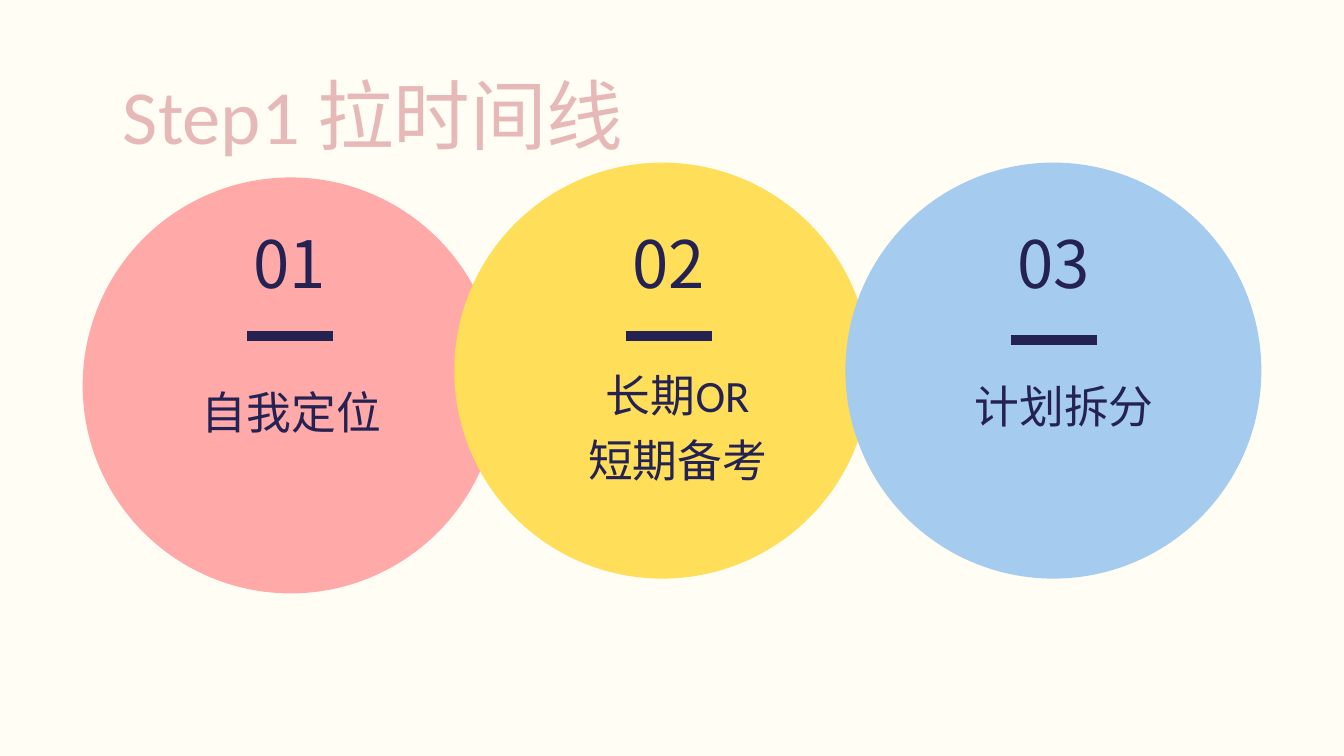
from lxml import etree
from pptx import Presentation
from pptx import util as u
from pptx.dml.color import RGBColor
from pptx.enum import shapes, text
from pptx.oxml import ns

HUES = {
    "paper": "FFFDF4",
    "pink": "FFA9A8",
    "gold": "FFDE59",
    "blue": "A5CBEF",
    "navy": "232253",
    "rose": "E6B9B8",
}
HAN = "Noto Sans CJK SC"
SIZE = 6.19
DASH = 1.28

STEPS = [
    ("pink", (1.23, 2.64), (3.68, 5), "01", 1.88, ["自我定位"], (2.58, 6.04, 0.49)),
    ("gold", (6.76, 2.42), (9.31, 5), "02", 7.52, ["长期OR", "短期备考"], (8.33, 5.79, 2)),
    ("blue", (12.58, 2.42), (15.04, 5.06), "03", 13.24, ["计划拆分"], (14.08, 5.96, 0.49)),
]


def hue(name):
    return RGBColor.from_string(HUES[name])


def place(shape, *box):
    shape.left, shape.top, shape.width, shape.height = map(u.Inches, box)


def write(shape, lines, size, lead, font, tone, align, gap=0):
    frame = shape.text_frame
    frame.word_wrap = True
    frame.auto_size = text.MSO_AUTO_SIZE.NONE
    frame.vertical_anchor = text.MSO_ANCHOR.TOP
    frame.margin_left = frame.margin_right = 0
    frame.margin_top = frame.margin_bottom = 0
    frame.text = "\n".join(lines)
    for i, para in enumerate(frame.paragraphs):
        para.alignment = align
        para.line_spacing = u.Pt(lead)
        para.space_before = u.Pt(gap if i else 0)
        for run in para.runs:
            run.font.size = u.Pt(size)
            run.font.color.rgb = hue(tone)
            run.font.name = font
            mark = etree.SubElement(run.font._element, ns.qn("a:ea"))
            mark.set("typeface", HAN)


def add_disc(slide, tone, left, top):
    disc = slide.shapes.add_shape(
        shapes.MSO_SHAPE.OVAL, *map(u.Inches, (left, top, SIZE, SIZE)))
    disc.shadow.inherit = False
    disc.fill.solid()
    disc.fill.fore_color.rgb = hue(tone)
    disc.line.fill.background()


def add_dash(slide, left, top):
    dash = slide.shapes.add_connector(
        shapes.MSO_CONNECTOR.STRAIGHT,
        *map(u.Inches, (left, top, left + DASH, top)))
    dash.line.color.rgb = hue("navy")
    dash.line.width = u.Pt(11.25)
    etree.SubElement(dash._element.spPr, ns.qn("a:effectLst"))


def add_label(slide, box, lines, size, lead, font, gap=0):
    label = slide.shapes.add_textbox(*map(u.Inches, box))
    write(label, lines, size, lead, font, "navy", text.PP_ALIGN.CENTER, gap)


def add_title(slide, words):
    title = slide.shapes.title
    place(title, 1.83, 1.01, 13.73, 1.38)
    write(title, [words], 82, 98.4, "Calibri", "rose", text.PP_ALIGN.LEFT)


def main():
    deck = Presentation()
    deck.slide_width, deck.slide_height = u.Inches(20), u.Inches(11.25)
    slide = deck.slides.add_slide(deck.slide_layouts[5])
    slide.background.fill.solid()
    slide.background.fill.fore_color.rgb = hue("paper")

    add_title(slide, "Step1 拉时间线")
    for tone, disc, dash, num, left, lines, (x, y, high) in STEPS:
        add_disc(slide, tone, *disc)
        add_dash(slide, *dash)
        add_label(slide, (left, 3.12, 4.87, 1.31), [num], 70, 98, HAN)
        add_label(slide, (x, y, 3.51, high), lines, 48, 34.6, "Calibri", 34.6)
    deck.save("out.pptx")


if __name__ == "__main__":
    main()
